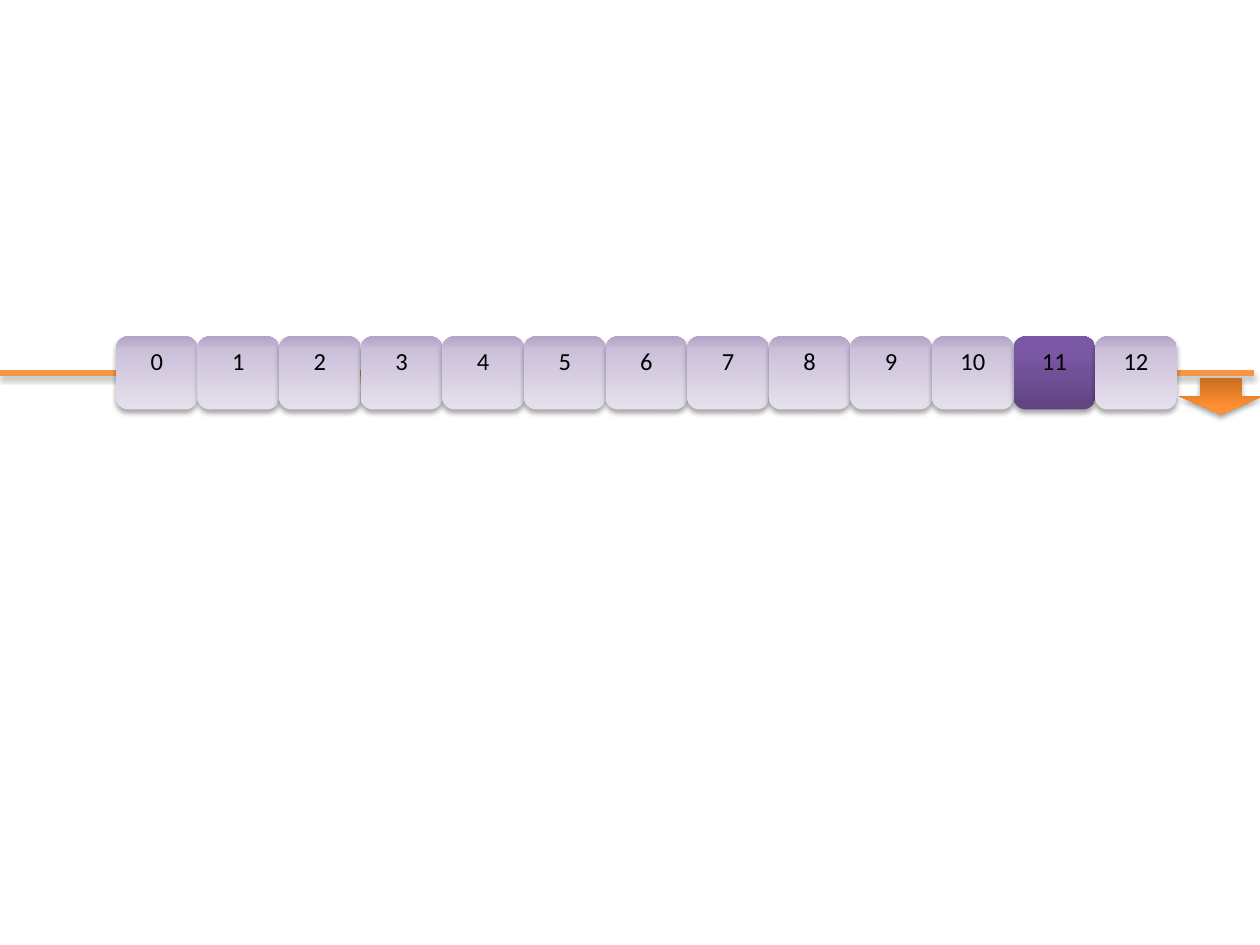
from dataclasses import dataclass
from pptx import Presentation, util as u
from pptx.dml.color import RGBColor
from pptx.enum import shapes, text
from pptx.oxml import parse_xml
from pptx.oxml.ns import qn

NS = 'xmlns:a="http://schemas.openxmlformats.org/drawingml/2006/main"'


@dataclass
class Theme:
    font: str = "Calibri"
    size: int = 14
    ink: str = "000000"
    axis: str = "F79646"
    axis_pt: int = 3
    pale: tuple = ("E6E0EC", "CCC1DA", "B3A2C7")
    bold: tuple = ("5F4480", "7B58A6", "7C57A8")
    warm: tuple = ("CC6E20", "FF9034", "FF9136")


theme = Theme()


def shade(item):
    """Give a shape or connector a soft shadow below it."""
    props = item._element.spPr
    for old in props.findall(qn("a:effectLst")):
        props.remove(old)
    props.append(parse_xml(
        f'<a:effectLst {NS}><a:outerShdw blurRad="{u.Pt(3.1)}" dist="{u.Pt(1.8)}" '
        f'dir="5400000" rotWithShape="0"><a:srgbClr val="{theme.ink}">'
        '<a:alpha val="35000"/></a:srgbClr></a:outerShdw></a:effectLst>'))


def blend(shape, tones):
    """Fill from bottom to top with three tones, without an outline."""
    stops = "".join(
        f'<a:gs pos="{pos * 1000}"><a:srgbClr val="{tone}"/></a:gs>'
        for pos, tone in zip((0, 80, 100), tones))
    shape.fill.gradient()
    props = shape._element.spPr
    props.replace(props.find(qn("a:gradFill")), parse_xml(
        f'<a:gradFill {NS} rotWithShape="1"><a:gsLst>{stops}</a:gsLst>'
        '<a:lin ang="16200000" scaled="0"/></a:gradFill>'))
    shape.line.fill.background()
    shade(shape)


def add_block(slide, kind, box, tones):
    shape = slide.shapes.add_shape(kind, *(u.Inches(n) for n in box))
    blend(shape, tones)
    return shape


def add_axis(slide, box):
    """Line along the top of the box, with a down arrow at its right end."""
    left, top, width, height = box
    line = slide.shapes.add_connector(
        shapes.MSO_CONNECTOR.STRAIGHT, u.Inches(left), u.Inches(top),
        u.Inches(left + width), u.Inches(top))
    line.line.color.rgb = RGBColor.from_string(theme.axis)
    line.line.width = u.Pt(theme.axis_pt)
    shade(line)
    arrow = add_block(slide, shapes.MSO_SHAPE.UP_ARROW,
                      (left + 9.36, top + 0.04, 0.66, height), theme.warm)
    arrow.rotation = 180


def add_cells(slide, box, count, chosen):
    """Row of numbered cells sharing the box equally."""
    left, top, width, height = box
    step = width / count
    for num in range(count):
        cell = add_block(slide, shapes.MSO_SHAPE.ROUNDED_RECTANGLE,
                         (left + num * step, top, step, height),
                         theme.bold if num == chosen else theme.pale)
        frame = cell.text_frame
        frame.vertical_anchor = text.MSO_ANCHOR.TOP
        para = frame.paragraphs[0]
        para.alignment = text.PP_ALIGN.CENTER
        run = para.add_run()
        run.text = str(num)
        run.font.name = theme.font
        run.font.size = u.Pt(theme.size)
        run.font.color.rgb = RGBColor.from_string(theme.ink)


deck = Presentation()
deck.slide_width, deck.slide_height = u.Inches(10), u.Inches(7.5)
slide = deck.slides.add_slide(deck.slide_layouts[6])

# Axis behind, then the row of cells
add_axis(slide, (0, 2.96, 9.95, 0.29))
add_cells(slide, (0.92, 2.67, 8.42, 0.58), count=13, chosen=11)

deck.save("out.pptx")
